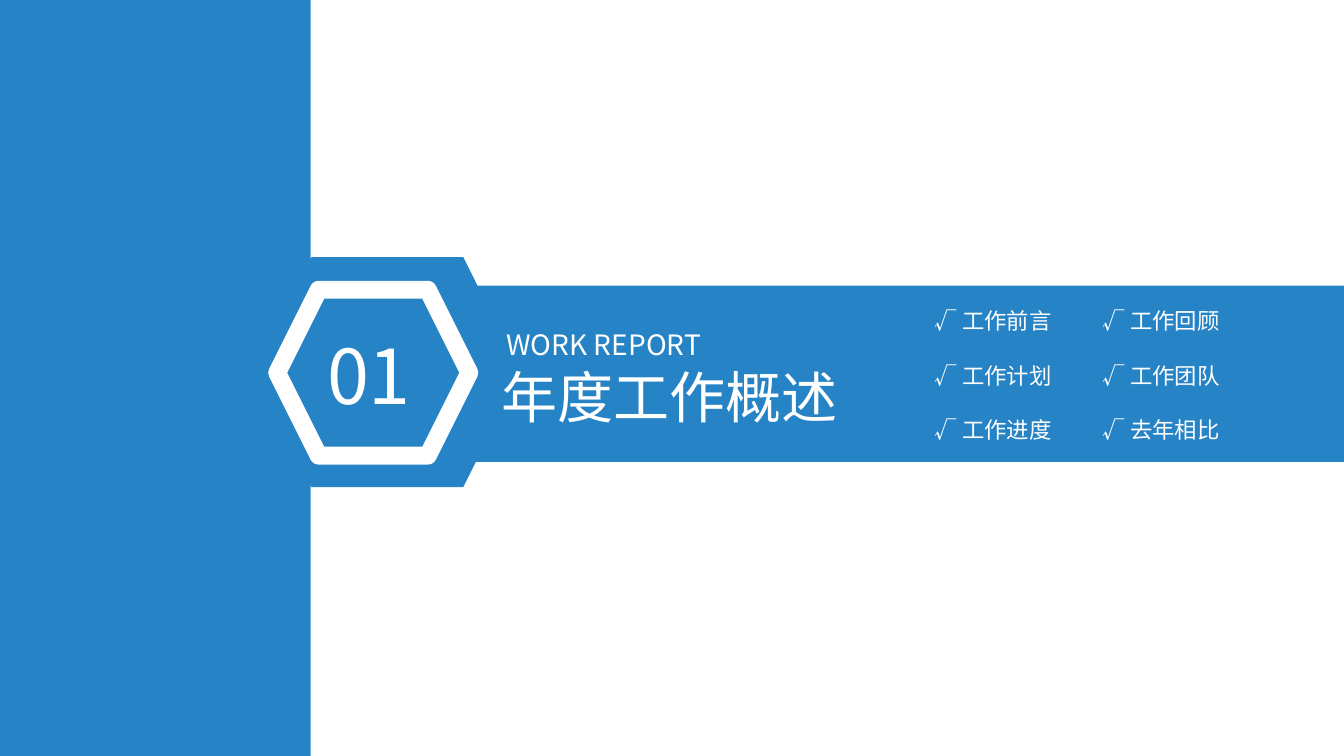
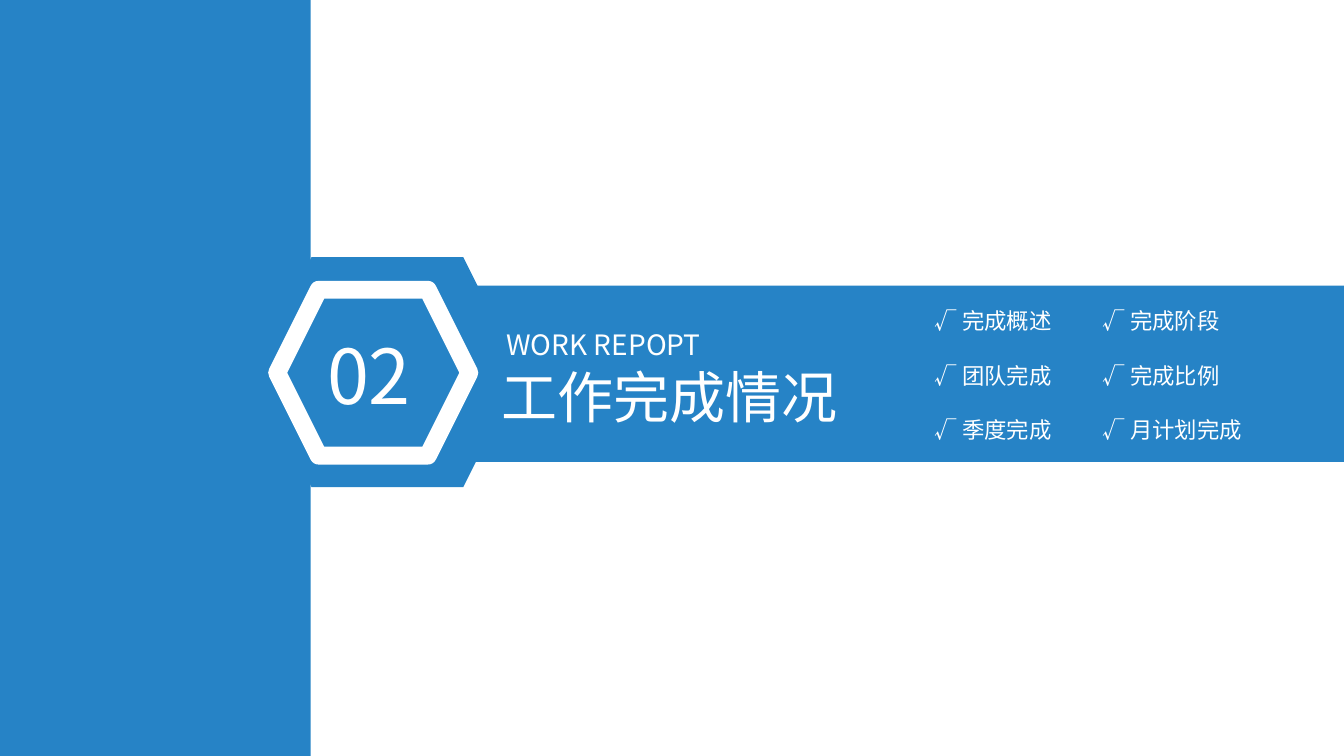
from lxml.etree import SubElement
from pptx import Presentation
from pptx.dml.color import RGBColor
from pptx.enum.shapes import MSO_SHAPE as Preset
from pptx.enum.text import MSO_AUTO_SIZE as AutoSize, PP_ALIGN as Align
from pptx.oxml.ns import qn
from pptx.util import Emu, Pt

PX = 9525
COLOURS = {"blue": "2683C6", "white": "FFFFFF"}
FONT = "Noto Sans CJK SC"
STYLES = {
    "number": {"size": Pt(54)},
    "title": {"size": Pt(40)},
    "caption": {"size": Pt(20)},
    "topic": {"size": Pt(16)},
}
TOPIC_COLUMNS = (881, 1041)
TOPIC_TOP, TOPIC_STEP = 288, 52
SECTIONS = [
    ("01", "年度工作概述", "WORK REPORT",
     [("工作前言", "工作计划", "工作进度"), ("工作回顾", "工作团队", "去年相比")]),
    ("02", "工作完成情况", "WORK REPOPT",
     [("完成概述", "团队完成", "季度完成"), ("完成阶段", "完成比例", "月计划完成")]),
]


def colour(name):
    """Return the named colour."""
    return RGBColor.from_string(COLOURS[name])


def lengths(*values):
    """Turn px into EMU."""
    return [Emu(value * PX) for value in values]


def add_block(shapes, preset, place, outline=None):
    """Add a blue preset shape, with a white outline if a width is given."""
    block = shapes.add_shape(preset, *lengths(*place))
    block.shadow.inherit = False
    block.fill.solid()
    block.fill.fore_color.rgb = colour("blue")
    if outline:
        block.line.color.rgb = colour("white")
        block.line.width = outline
        SubElement(block.line._get_or_add_ln(), qn("a:round"))
    else:
        block.line.fill.background()


def add_label(shapes, text, place, style, align=None):
    """Add one line of white text that does not wrap."""
    box = shapes.add_textbox(*lengths(*place))
    frame = box.text_frame
    frame.word_wrap = False
    frame.auto_size = AutoSize.SHAPE_TO_FIT_TEXT
    para = frame.paragraphs[0]
    para.alignment = align
    span = para.add_run()
    span.text = text
    span.font.color.rgb = colour("white")
    for name, value in {"name": FONT, **STYLES[style]}.items():
        setattr(span.font, name, value)
    SubElement(span.font._element, qn("a:ea"), typeface=FONT)


def add_backdrop(page):
    """Add the side panel, its hexagon and the band."""
    panel = page.shapes.add_group_shape().shapes
    add_block(panel, Preset.RECTANGLE, (0, 0, 296, 720))
    add_block(panel, Preset.HEXAGON, (242, 245, 254, 219))
    add_block(page.shapes, Preset.RECTANGLE, (414, 272, 866, 168))


def add_badge(page, number):
    """Add the outlined hexagon with the section number."""
    badge = page.shapes.add_group_shape().shapes
    add_block(badge, Preset.HEXAGON, (264, 276, 183, 158), Pt(12.75))
    add_label(badge, number, (302, 309, 112, 97), "number", Align.JUSTIFY)


def add_topics(page, columns):
    """Add the ticked topics in columns."""
    for left, topics in zip(TOPIC_COLUMNS, columns):
        for row, topic in enumerate(topics):
            width = 49 + 21 * len(topic)
            place = (left, TOPIC_TOP + row * TOPIC_STEP, width, 36)
            add_label(page.shapes, f"√ {topic}", place, "topic")


def add_section(deck, number, title, caption, columns):
    """Add one section slide."""
    page = deck.slides.add_slide(deck.slide_layouts[6])
    add_backdrop(page)
    add_badge(page, number)
    add_label(page.shapes, title, (468, 341, 343, 74), "title")
    add_label(page.shapes, caption, (473, 307, 257, 42), "caption")
    add_topics(page, columns)


def main():
    """Build and save the deck."""
    deck = Presentation()
    deck.slide_width, deck.slide_height = lengths(1280, 720)
    for section in SECTIONS:
        add_section(deck, *section)
    deck.save("out.pptx")


if __name__ == "__main__":
    main()
